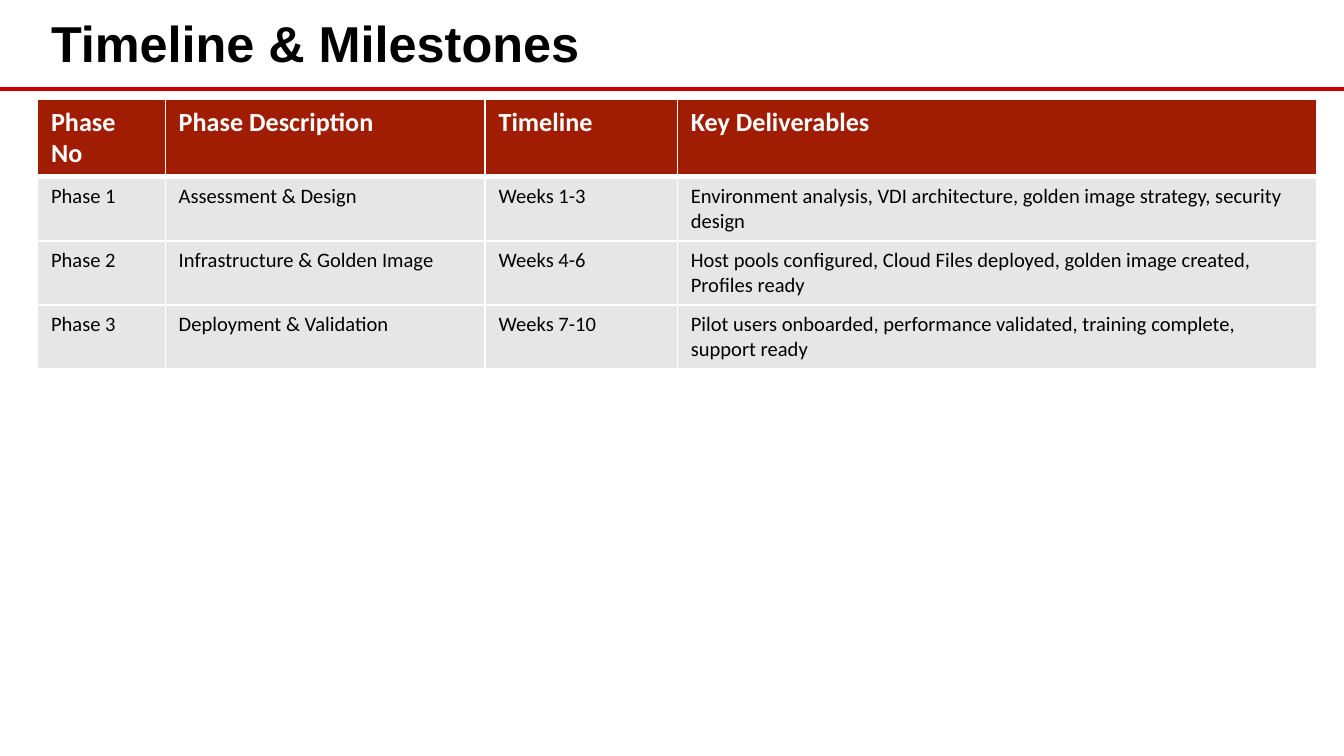
from lxml import etree
from pptx import Presentation
from pptx import util as u
from pptx.dml.color import RGBColor
from pptx.enum import shapes, text
from pptx.oxml.ns import qn

COLORS = {
    "rule": "CC0000",
    "header": "A01C02",
    "body": "E7E6E6",
    "white": "FFFFFF",
    "black": "000000",
}
PAGE_WIDTH = 10
PAGE_HEIGHT = PAGE_WIDTH * 9 / 16
COLUMN_WIDTHS = [0.95, 2.38, 1.43, 4.76]
ROW_HEIGHT = 0.41
PHASES = [
    ["Phase No", "Phase Description", "Timeline", "Key Deliverables"],
    ["Phase 1", "Assessment & Design", "Weeks 1-3",
     "Environment analysis, VDI architecture, golden image strategy, security design"],
    ["Phase 2", "Infrastructure & Golden Image", "Weeks 4-6",
     "Host pools configured, Cloud Files deployed, golden image created, Profiles ready"],
    ["Phase 3", "Deployment & Validation", "Weeks 7-10",
     "Pilot users onboarded, performance validated, training complete, support ready"],
]


class SlideBuilder:
    def __init__(self, deck):
        self.page = deck.slides.add_slide(deck.slide_layouts[5])

    def color(self, name):
        return RGBColor.from_string(COLORS[name])

    def style(self, frame, font, size, color, bold):
        for paragraph in frame.paragraphs:
            paragraph.alignment = text.PP_ALIGN.LEFT
            for span in paragraph.runs:
                span.font.name = font
                span.font.size = u.Pt(size)
                span.font.bold = bold
                span.font.color.rgb = self.color(color)

    def title(self, words, left, top, width, height):
        box = self.page.shapes.title
        box.left, box.top = u.Inches(left), u.Inches(top)
        box.width, box.height = u.Inches(width), u.Inches(height)
        frame = box.text_frame
        frame.text = words
        frame.word_wrap = True
        frame.auto_size = text.MSO_AUTO_SIZE.NONE
        frame.vertical_anchor = text.MSO_ANCHOR.TOP
        self.style(frame, "Arial", 27, "black", True)

    def rule(self, top, width):
        line = self.page.shapes.add_connector(
            shapes.MSO_CONNECTOR.STRAIGHT, 0, u.Inches(top), u.Inches(width), u.Inches(top))
        line.line.color.rgb = self.color("rule")
        line.line.width = u.Pt(2.25)
        etree.SubElement(line._element.spPr, qn("a:effectLst"))

    def borders(self, cell, top, bottom):
        """Draw white cell edges; top and bottom are widths in points."""
        properties = cell._tc.get_or_add_tcPr()
        for side, width in (("L", 1), ("R", 1), ("T", top), ("B", bottom)):
            edge = etree.SubElement(properties, qn(f"a:ln{side}"), w=str(u.Pt(width)))
            fill = etree.SubElement(edge, qn("a:solidFill"))
            etree.SubElement(fill, qn("a:srgbClr"), val=COLORS["white"])

    def table(self, rows, left, top):
        grid = self.page.shapes.add_table(
            len(rows), len(COLUMN_WIDTHS), u.Inches(left), u.Inches(top),
            u.Inches(sum(COLUMN_WIDTHS)), u.Inches(ROW_HEIGHT * len(rows))).table
        for column, width in zip(grid.columns, COLUMN_WIDTHS):
            column.width = u.Inches(width)
        for r, row in enumerate(rows):
            grid.rows[r].height = u.Inches(ROW_HEIGHT)
            header = r == 0
            for c, words in enumerate(row):
                cell = grid.cell(r, c)
                cell.text_frame.text = words
                self.borders(cell, top=3 if r == 1 else 1, bottom=3 if header else 1)
                cell.fill.solid()
                cell.fill.fore_color.rgb = self.color("header" if header else "body")
                self.style(cell.text_frame, "Calibri", 14 if header else 11,
                           "white" if header else "black", header)


def main():
    deck = Presentation()
    deck.slide_width, deck.slide_height = u.Inches(PAGE_WIDTH), u.Inches(PAGE_HEIGHT)
    builder = SlideBuilder(deck)
    builder.rule(0.66, PAGE_WIDTH)
    builder.title("Timeline & Milestones", 0.28, 0.04, 9.53, 0.58)
    builder.table(PHASES, 0.28, 0.74)
    deck.save("out.pptx")


if __name__ == "__main__":
    main()
